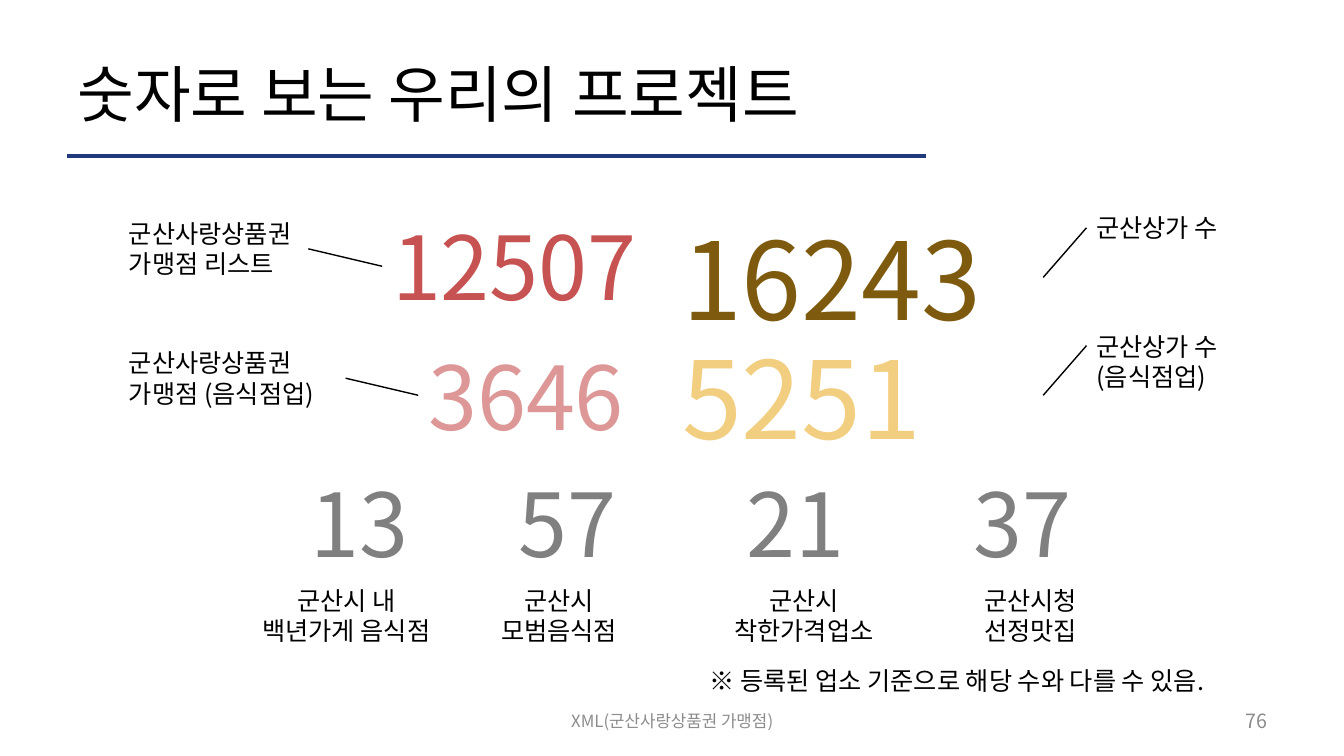
from dataclasses import dataclass

from lxml import etree
from pptx import Presentation
from pptx import util as u
from pptx.dml.color import RGBColor
from pptx.enum import shapes, text
from pptx.oxml.ns import qn


@dataclass(frozen=True)
class Theme:
    font: str = "Noto Sans CJK KR"
    ink: str = "000000"
    rule: str = "203A7B"
    muted: str = "8C8C8C"
    red: str = "C75252"
    pink: str = "DD9797"
    brown: str = "7D5A0D"
    sand: str = "F2CE80"
    gray: str = "808080"
    title: int = 44
    huge: int = 77
    big: int = 63
    body: int = 18
    page: int = 14
    footer: int = 12


@dataclass(frozen=True)
class Label:
    text: str
    x: float
    y: float
    w: float
    h: float
    size: int
    color: str
    align: text.PP_ALIGN = text.PP_ALIGN.LEFT
    anchor: text.MSO_ANCHOR = text.MSO_ANCHOR.TOP


@dataclass(frozen=True)
class Line:
    x1: float
    y1: float
    x2: float
    y2: float
    color: str
    width: float


@dataclass(frozen=True)
class Count:
    value: str
    caption: str
    x: float
    caption_x: float


T = Theme()
CENTER, RIGHT = text.PP_ALIGN.CENTER, text.PP_ALIGN.RIGHT
MIDDLE = text.MSO_ANCHOR.MIDDLE

TITLE = Label("숫자로 보는 우리의 프로젝트", 1.7, 0.76, 30.48, 3.18, T.title, T.ink, anchor=MIDDLE)

LABELS = [
    Label("XML(군산사랑상품권 가맹점)", 11.58, 17.65, 10.72, 1.02, T.footer, T.muted, CENTER, MIDDLE),
    Label("76", 24.28, 17.65, 7.9, 1.02, T.page, T.muted, RIGHT, MIDDLE),
    Label("12507", 9.63, 5.23, 8, 2.9, T.big, T.red),
    Label("3646", 10.54, 8.51, 8, 2.92, T.big, T.pink),
    Label("16243", 16.94, 5.23, 9.37, 3.48, T.huge, T.brown),
    Label("5251", 16.94, 8.23, 9.37, 3.48, T.huge, T.sand),
    Label("군산사랑상품권\n가맹점 리스트", 3, 5.38, 4.8, 1.78, T.body, T.ink),
    Label("군산사랑상품권\n가맹점 (음식점업)", 3, 8.64, 5.72, 1.78, T.body, T.ink),
    Label("군산상가 수", 27.38, 5.23, 4.8, 1, T.body, T.ink),
    Label("군산상가 수\n(음식점업)", 27.38, 8.23, 4.8, 1.78, T.body, T.ink),
    Label("※ 등록된 업소 기준으로 해당 수와 다를 수 있음.", 17.63, 16.64, 14.53, 1.02, T.body, T.ink),
]

COUNTS = [
    Count("13", "군산시 내\n백년가게 음식점", 7.57, 5.87),
    Count("57", "군산시\n모범음식점", 12.83, 11.23),
    Count("21", "군산시\n착한가격업소", 18.57, 17.4),
    Count("37", "군산시청\n선정맛집", 24.28, 23.11),
]

LINES = [
    Line(1.7, 3.94, 23.34, 3.94, T.rule, 3),
    Line(9.63, 6.71, 7.77, 6.27, T.ink, 1),
    Line(10.54, 9.96, 8.71, 9.53, T.ink, 1),
    Line(27.38, 5.74, 26.29, 6.99, T.ink, 1),
    Line(27.38, 8.71, 26.29, 9.96, T.ink, 1),
]


def fill_text(sp, label: Label) -> None:
    sp.left, sp.top = u.Cm(label.x), u.Cm(label.y)
    sp.width, sp.height = u.Cm(label.w), u.Cm(label.h)
    tf = sp.text_frame
    tf.text = label.text
    tf.word_wrap = True
    tf.auto_size = text.MSO_AUTO_SIZE.NONE
    tf.vertical_anchor = label.anchor
    for p in tf.paragraphs:
        p.alignment = label.align
        p.font.size = u.Pt(label.size)
        p.font.color.rgb = RGBColor.from_string(label.color)
        p.font.name = T.font
        props = p._p.pPr.find(qn("a:defRPr"))
        etree.SubElement(props, qn("a:ea"), typeface=T.font)


def add_label(s, label: Label) -> None:
    fill_text(s.shapes.add_textbox(0, 0, 0, 0), label)


def add_line(s, line: Line) -> None:
    ends = (u.Cm(v) for v in (line.x1, line.y1, line.x2, line.y2))
    sp = s.shapes.add_connector(shapes.MSO_CONNECTOR.STRAIGHT, *ends)
    sp.line.color.rgb = RGBColor.from_string(line.color)
    sp.line.width = u.Pt(line.width)
    etree.SubElement(sp._element.spPr, qn("a:effectLst"))


def add_count(s, count: Count) -> None:
    add_label(s, Label(count.value, count.x, 11.71, 3.43, 2.92, T.big, T.gray))
    add_label(s, Label(count.caption, count.caption_x, 14.63, 5.72, 1.78, T.body, T.ink, CENTER))


def main() -> None:
    prs = Presentation()
    prs.slide_width, prs.slide_height = u.Cm(33.87), u.Cm(19.05)
    s = prs.slides.add_slide(prs.slide_layouts.get_by_name("Title Only"))
    fill_text(s.shapes.title, TITLE)
    for line in LINES:
        add_line(s, line)
    for label in LABELS:
        add_label(s, label)
    for count in COUNTS:
        add_count(s, count)
    prs.save("out.pptx")


if __name__ == "__main__":
    main()
